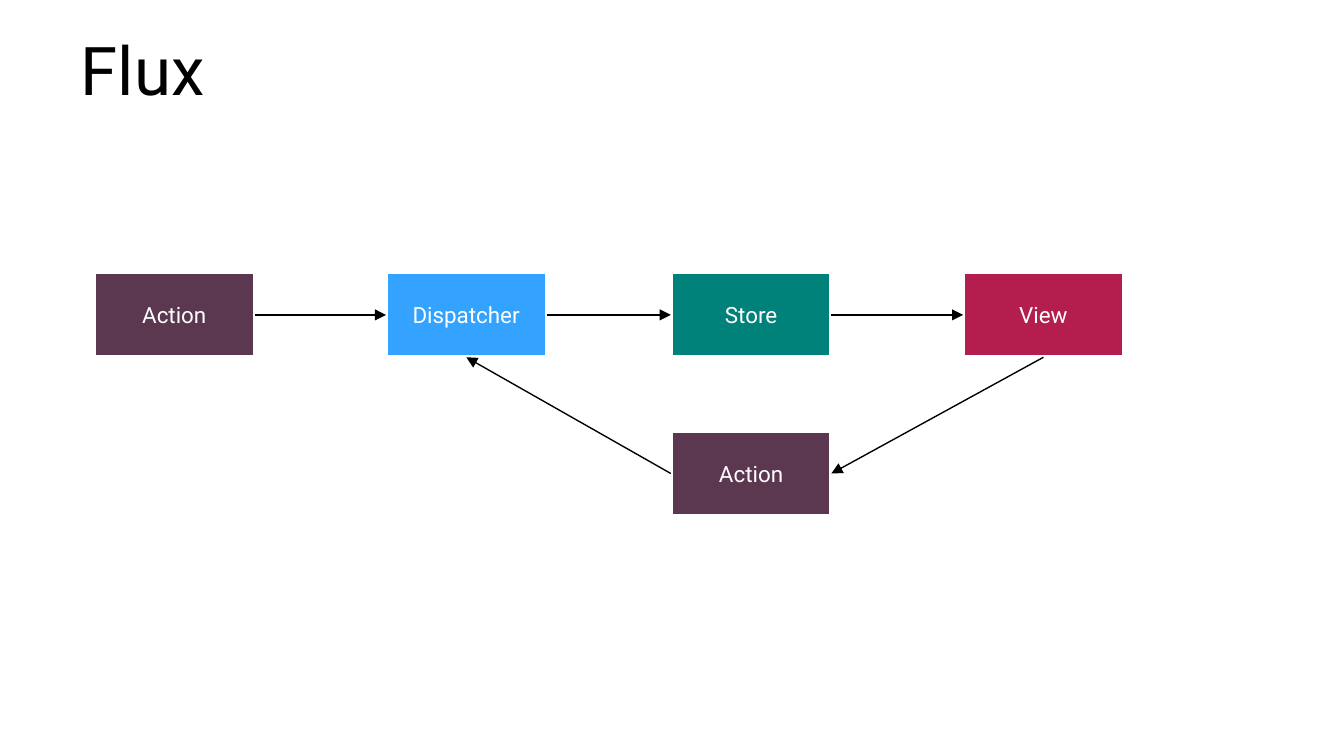
"""Build the Flux data flow slide."""
from lxml.etree import SubElement
from pptx import Presentation
from pptx.dml.color import RGBColor
from pptx.enum.shapes import MSO_CONNECTOR, MSO_SHAPE
from pptx.enum.text import MSO_ANCHOR, PP_ALIGN
from pptx.oxml.ns import qn
from pptx.util import Pt

BLACK = RGBColor(0x00, 0x00, 0x00)
WHITE = RGBColor(0xFF, 0xFF, 0xFF)
PLUM = RGBColor(0x5B, 0x37, 0x50)
BLUE = RGBColor(0x33, 0xA3, 0xFF)
TEAL = RGBColor(0x00, 0x81, 0x79)
CRIMSON = RGBColor(0xB3, 0x1E, 0x4E)

FONT = "Roboto"
STAGE_WIDTH, STAGE_HEIGHT = Pt(86), Pt(45.4)
FLOW_TOP, RETURN_TOP = Pt(146), Pt(231)
STORE_LEFT = Pt(359.4)
TOP, LEFT, BOTTOM, RIGHT = range(4)


def set_font(paragraph, size, color):
    paragraph.font.name = FONT
    paragraph.font.size = Pt(size)
    paragraph.font.color.rgb = color


def add_title(slide, text):
    title = slide.shapes.title
    title.left, title.top, title.width, title.height = Pt(36), Pt(16.6), Pt(648), Pt(38.2)
    frame = title.text_frame
    frame.text = text
    frame.vertical_anchor = MSO_ANCHOR.TOP
    heading = frame.paragraphs[0]
    heading.alignment = PP_ALIGN.LEFT
    heading.line_spacing = 0.9
    set_font(heading, 36, BLACK)


def add_stage(slide, label, left, top, color):
    stage = slide.shapes.add_shape(MSO_SHAPE.RECTANGLE, left, top, STAGE_WIDTH, STAGE_HEIGHT)
    stage.shadow.inherit = False
    stage.fill.solid()
    stage.fill.fore_color.rgb = color
    stage.line.color.rgb = WHITE
    stage.line.width = Pt(2)
    frame = stage.text_frame
    frame.text = label
    frame.vertical_anchor = MSO_ANCHOR.MIDDLE
    caption = frame.paragraphs[0]
    caption.alignment = PP_ALIGN.CENTER
    set_font(caption, 12, WHITE)
    return stage


def add_arrow(slide, source, source_side, target, target_side):
    arrow = slide.shapes.add_connector(MSO_CONNECTOR.STRAIGHT, 0, 0, 0, 0)
    arrow.begin_connect(source, source_side)
    arrow.end_connect(target, target_side)
    arrow.line.color.rgb = BLACK
    arrow.line.width = Pt(0.75)
    SubElement(arrow.line._get_or_add_ln(), qn("a:tailEnd"), type="triangle")
    SubElement(arrow._element.spPr, qn("a:effectLst"))


def main():
    presentation = Presentation()
    presentation.slide_width, presentation.slide_height = Pt(720), Pt(405)
    slide = presentation.slides.add_slide(presentation.slide_layouts[5])
    add_title(slide, "Flux")

    flow = [
        add_stage(slide, label, left, FLOW_TOP, color)
        for label, left, color in (
            ("Action", Pt(50.4), PLUM),
            ("Dispatcher", Pt(206.8), BLUE),
            ("Store", STORE_LEFT, TEAL),
            ("View", Pt(516), CRIMSON),
        )
    ]
    for source, target in zip(flow, flow[1:]):
        add_arrow(slide, source, RIGHT, target, LEFT)

    _, dispatcher, _, view = flow
    view_action = add_stage(slide, "Action", STORE_LEFT, RETURN_TOP, PLUM)
    add_arrow(slide, view, BOTTOM, view_action, RIGHT)
    add_arrow(slide, view_action, LEFT, dispatcher, BOTTOM)

    presentation.save("out.pptx")


main()
